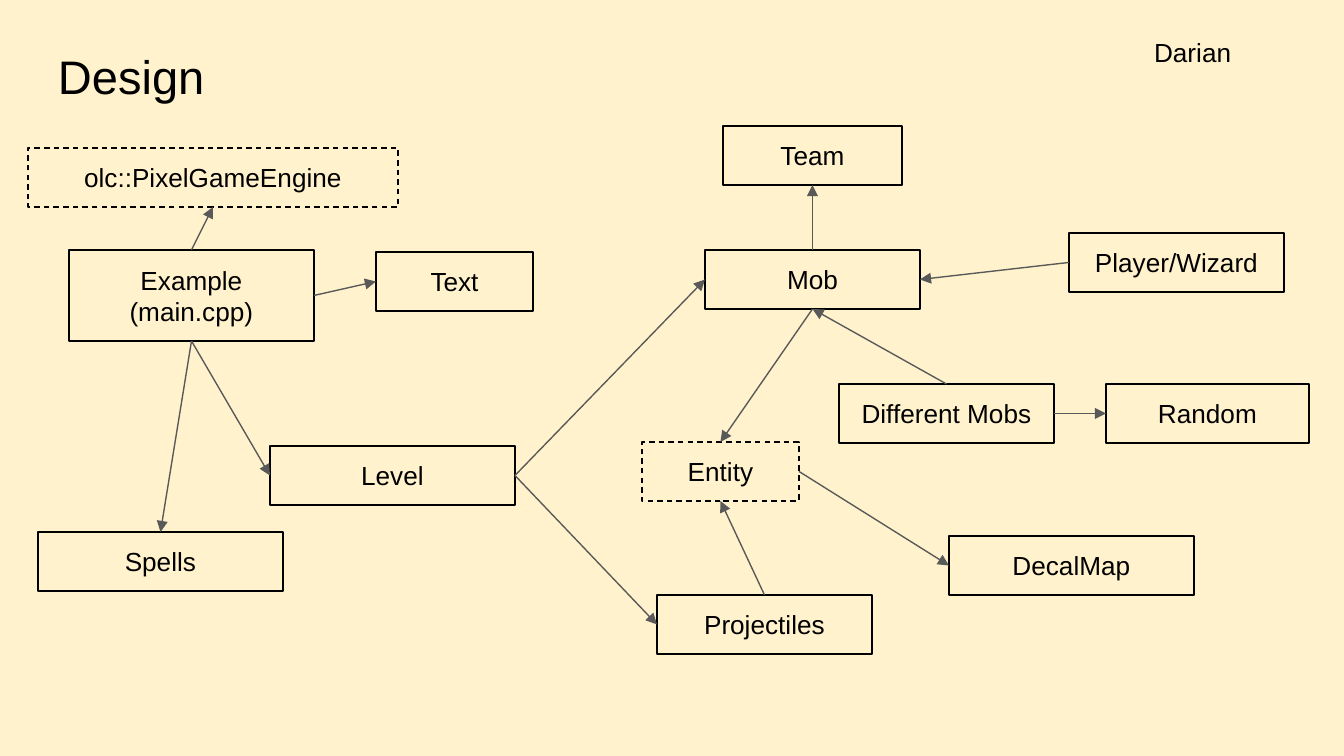
from lxml.etree import SubElement
from pptx import Presentation
from pptx.dml.color import RGBColor
from pptx.enum.dml import MSO_LINE
from pptx.enum.shapes import MSO_CONNECTOR, MSO_SHAPE
from pptx.enum.text import MSO_ANCHOR, PP_ALIGN
from pptx.oxml.ns import qn
from pptx.util import Pt

EMU_PER_PX = 914400 / 134.4
COLORS = {"background": "FFF2CC", "ink": "000000", "arrow": "595959"}
SITES = {"top": 0, "left": 1, "bottom": 2, "right": 3}
ROW = 59


def px(length):
    return round(length * EMU_PER_PX)


def color(name):
    return RGBColor.from_string(COLORS[name])


class Diagram:
    font = "Arial"
    inset = 13
    line_width = 0.75

    def __init__(self, page):
        self.page = page
        self.boxes = {}
        page.background.fill.solid()
        page.background.fill.fore_color.rgb = color("background")

    def style_text(self, shape, text, size, align):
        frame = shape.text_frame
        frame.text = text
        frame.word_wrap = True
        frame.vertical_anchor = MSO_ANCHOR.MIDDLE
        frame.margin_left = frame.margin_right = px(self.inset)
        frame.margin_top = frame.margin_bottom = px(self.inset)
        for para in frame.paragraphs:
            para.alignment = align
            for span in para.runs:
                span.font.name = self.font
                span.font.size = Pt(size)
                span.font.color.rgb = color("ink")

    def label(self, text, left, top, width, height, size=14):
        shape = self.page.shapes.add_textbox(px(left), px(top), px(width), px(height))
        self.style_text(shape, text, size, PP_ALIGN.LEFT)

    def box(self, text, left, top, width, height=ROW, dashed=False):
        shape = self.page.shapes.add_shape(
            MSO_SHAPE.RECTANGLE, px(left), px(top), px(width), px(height))
        shape.shadow.inherit = False
        shape.fill.background()
        shape.line.color.rgb = color("ink")
        shape.line.width = Pt(self.line_width)
        if dashed:
            shape.line.dash_style = MSO_LINE.DASH
        self.style_text(shape, text, 14, PP_ALIGN.CENTER)
        self.boxes[text] = shape

    def arrow(self, source, source_side, target, target_side):
        line = self.page.shapes.add_connector(MSO_CONNECTOR.STRAIGHT, 0, 0, 0, 0)
        line.begin_connect(self.boxes[source], SITES[source_side])
        line.end_connect(self.boxes[target], SITES[target_side])
        line.line.color.rgb = color("arrow")
        line.line.width = Pt(self.line_width)
        properties = line.element.spPr
        SubElement(properties.find(qn("a:ln")), qn("a:tailEnd"), type="triangle")
        SubElement(properties, qn("a:effectLst"))


def main():
    deck = Presentation()
    deck.slide_width, deck.slide_height = px(1344), px(756)
    diagram = Diagram(deck.slides.add_slide(deck.slide_layouts[6]))

    diagram.label("Design", 45, 33, 566, 85, size=25.2)
    diagram.label("Darian", 1141, 23, 177, ROW)

    engine, example = "olc::PixelGameEngine", "Example (main.cpp)"
    diagram.box(engine, 28, 148, 370, dashed=True)
    diagram.box(example, 69, 250, 245, height=91)
    diagram.box("Text", 376, 252, 157)
    diagram.box("Level", 270, 446, 245)
    diagram.box("Spells", 38, 532, 245)
    diagram.box("Team", 723, 126, 179)
    diagram.box("Mob", 705, 250, 215)
    diagram.box("Player/Wizard", 1069, 233, 215)
    diagram.box("Different Mobs", 839, 384, 215)
    diagram.box("Random", 1106, 384, 203)
    diagram.box("Entity", 642, 442, 157, dashed=True)
    diagram.box("Projectiles", 657, 595, 215)
    diagram.box("DecalMap", 949, 536, 245)

    for link in (
        (example, "top", engine, "bottom"),
        (example, "right", "Text", "left"),
        (example, "bottom", "Level", "left"),
        (example, "bottom", "Spells", "top"),
        ("Level", "right", "Mob", "left"),
        ("Level", "right", "Projectiles", "left"),
        ("Mob", "top", "Team", "bottom"),
        ("Mob", "bottom", "Entity", "top"),
        ("Player/Wizard", "left", "Mob", "right"),
        ("Different Mobs", "top", "Mob", "bottom"),
        ("Different Mobs", "right", "Random", "left"),
        ("Projectiles", "top", "Entity", "bottom"),
        ("Entity", "right", "DecalMap", "left"),
    ):
        diagram.arrow(*link)

    deck.save("out.pptx")


if __name__ == "__main__":
    main()
